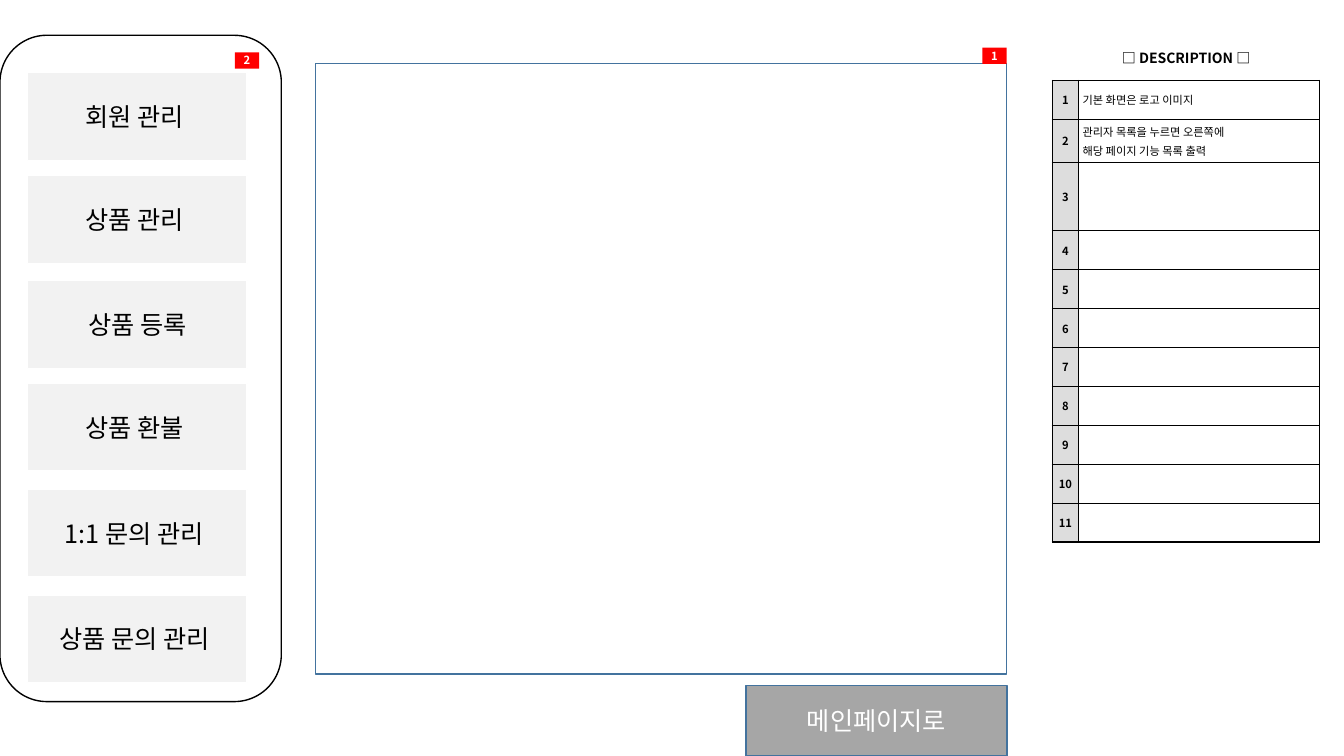
"""Build the admin main page wireframe with its description table."""
import pptx
import pptx.util
import pptx.dml.color
import pptx.enum.shapes
import pptx.enum.text
import pptx.oxml.ns
import lxml.etree

Cm, Pt = pptx.util.Cm, pptx.util.Pt
RGB = pptx.dml.color.RGBColor.from_string
KIND = pptx.enum.shapes.MSO_SHAPE
ALIGN = pptx.enum.text.PP_ALIGN
MIDDLE = pptx.enum.text.MSO_ANCHOR.MIDDLE
qn = pptx.oxml.ns.qn

FONT = "Noto Sans CJK KR"
COLORS = {"white": "FFFFFF", "black": "000000", "menu": "F2F2F2", "grey": "A6A6A6",
          "blue": "43739E", "red": "FF0000", "head": "DDDDDD"}
MENU = [("회원 관리 ", 1.83), ("상품 관리 ", 4.43), ("상품 등록", 7.07),
        ("상품 환불 ", 9.66), ("1:1 문의 관리 ", 12.33), ("상품 문의 관리 ", 14.99)]
BADGES = [("1", 24.76, 1.2), ("2", 5.92, 1.32)]
TITLE = "□ DESCRIPTION □"
NOTES = ["기본 화면은 로고 이미지", "관리자 목록을 누르면 오른쪽에\n해당 페이지 기능 목록 출력"] + [""] * 9
WIDTHS = [0.66, 6.08]
HEIGHTS = [1.14, 0.98, 1.07, 1.73] + [0.98] * 8


def style(frame, size, color, bold=False, align=ALIGN.CENTER, gap=0):
    for para in frame.paragraphs:
        para.alignment = align
        para.space_before = Pt(size * gap)
        for run in para.runs:
            font = run.font
            font.size, font.bold, font.name = Pt(size), bold, FONT
            font.color.rgb = RGB(COLORS[color])
            east = lxml.etree.SubElement(run._r.get_or_add_rPr(), qn("a:ea"))
            east.set("typeface", FONT)
        if not para.runs:
            end = lxml.etree.SubElement(para._p, qn("a:endParaRPr"))
            end.set("sz", str(size * 100))


def box(place, fill=None, line=None, text="", size=18, color="black", bold=False,
        wrap=True, kind=KIND.RECTANGLE):
    shape = slide.shapes.add_shape(kind, *[Cm(n) for n in place])
    shape.shadow.inherit = False
    if fill:
        shape.fill.solid()
        shape.fill.fore_color.rgb = RGB(COLORS[fill])
    else:
        shape.fill.background()
    if line:
        shape.line.color.rgb = RGB(COLORS[line])
        shape.line.width = Pt(1)
    else:
        shape.line.fill.background()
    if text:
        frame = shape.text_frame
        frame.text, frame.word_wrap, frame.vertical_anchor = text, wrap, MIDDLE
        style(frame, size, color, bold)


def border(cell, sides):
    props = cell._tc.get_or_add_tcPr()
    for spot, side in enumerate(sides):
        edge = lxml.etree.Element(qn("a:ln" + side), w=str(Pt(1)))
        fill = lxml.etree.SubElement(edge, qn("a:solidFill"))
        lxml.etree.SubElement(fill, qn("a:srgbClr"), val=COLORS["black"])
        props.insert(spot, edge)


def enter(cell, text, fill, sides="LRTB", size=8, bold=True, align=ALIGN.CENTER):
    cell.margin_left = cell.margin_right = cell.margin_top = cell.margin_bottom = Cm(0.1)
    cell.vertical_anchor = MIDDLE
    cell.fill.solid()
    cell.fill.fore_color.rgb = RGB(COLORS[fill])
    cell.text_frame.text = text
    style(cell.text_frame, size, "black", bold, align, 0.2)
    border(cell, sides)


def describe():
    frame = slide.shapes.add_table(len(HEIGHTS), len(WIDTHS), Cm(26.52), Cm(0.89),
                                   Cm(sum(WIDTHS)), Cm(sum(HEIGHTS)))
    table = frame.table
    table.first_row = table.horz_banding = False
    for col, width in zip(table.columns, WIDTHS):
        col.width = Cm(width)
    for row, height in zip(table.rows, HEIGHTS):
        row.height = Cm(height)
    table.cell(0, 0).merge(table.cell(0, 1))
    enter(table.cell(0, 0), TITLE, "white", "B", 10)
    border(table.cell(0, 1), "B")
    for num, note in enumerate(NOTES, 1):
        enter(table.cell(num, 0), str(num), "head")
        enter(table.cell(num, 1), note, "white", bold=False, align=ALIGN.LEFT)


deck = pptx.Presentation()
deck.slide_width, deck.slide_height = Cm(33.87), Cm(19.05)
slide = deck.slides.add_slide(deck.slide_layouts[6])

box((0, 0.89, 7.09, 16.79), "white", "black", kind=KIND.ROUNDED_RECTANGLE)
for label, top in MENU:
    box((0.69, top, 5.54, 2.21), "menu", "white", label)
box((18.8, 17.27, 6.58, 1.78), "grey", "blue", "메인페이지로", color="white")
describe()
box((7.95, 1.6, 17.42, 15.39), line="blue")
for label, left, top in BADGES:
    box((left, top, 0.61, 0.41), "red", None, label, 8, "white", True, False)

deck.save("out.pptx")
